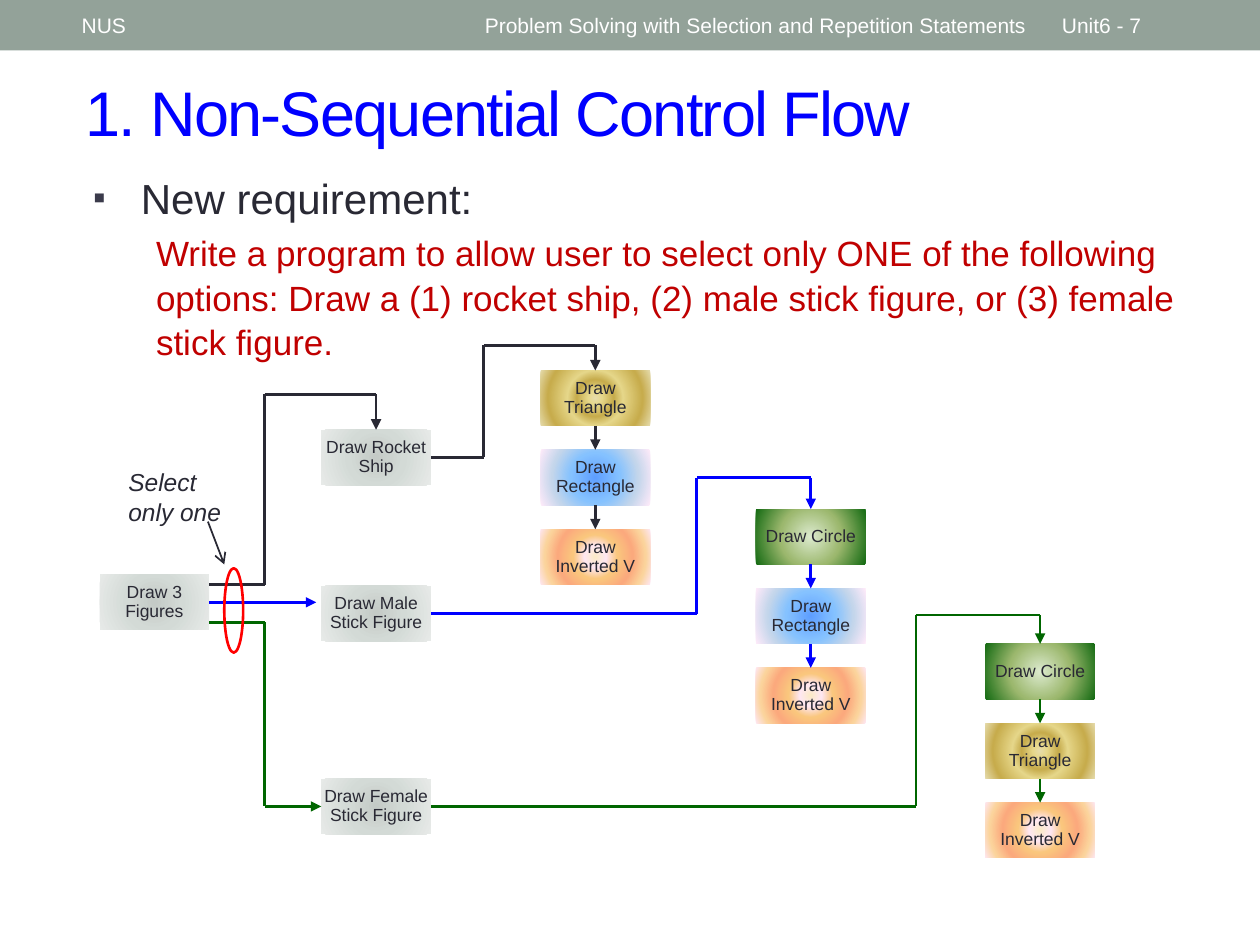
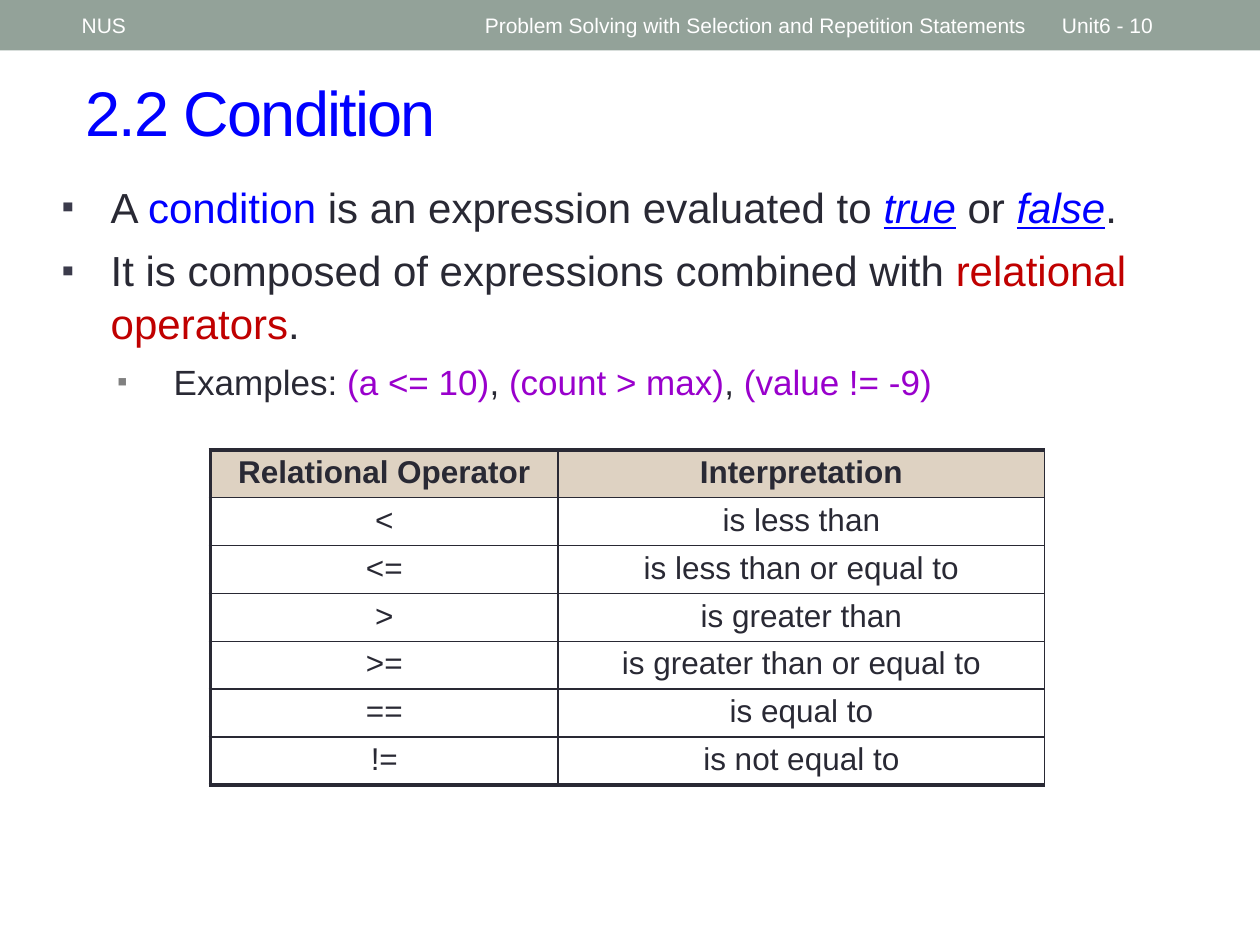
from lxml import etree
from pptx import Presentation
from pptx.dml.color import RGBColor
from pptx.enum.shapes import MSO_CONNECTOR, MSO_SHAPE
from pptx.enum.text import MSO_ANCHOR, MSO_AUTO_SIZE, PP_ALIGN
from pptx.oxml import parse_xml
from pptx.oxml.ns import qn
from pptx.util import Inches, Pt

RECTANGLE, ELLIPSE = MSO_SHAPE.RECTANGLE, MSO_SHAPE.OVAL
STRAIGHT = MSO_CONNECTOR.STRAIGHT
CENTER, MIDDLE = PP_ALIGN.CENTER, MSO_ANCHOR.MIDDLE
TOP, LEFT, BOTTOM, RIGHT = range(4)  # connection sites of a rectangle

FONT = "Arial"
TITLE_ONLY = 5
COLORS = {
    "band": "93A299", "white": "FFFFFF", "text": "292934", "blue": "0000FF",
    "red": "C00000", "green": "006600", "purple": "9900CC", "ring": "FF0000",
    "bullet": "3B3B4B", "sub_bullet": "808080", "header": "DED2C2",
}
# Radial gradients: position in percent and colour, from the centre outwards
GRADIENTS = {
    "grey": [(0, "C4CAC6"), (45, "D3DAD6"), (100, "E7EAE8")],
    "Draw Triangle": [(0, "E6DCAC"), (12, "E6D78A"), (30, "C7AC4C"),
                      (45, "E6D78A"), (77, "C7AC4C"), (100, "E6DCAC")],
    "Draw Rectangle": [(0, "5E9EFF"), (40, "85C2FF"), (70, "C4D6EB"), (100, "FFEBFA")],
    "Draw Inverted V": [(0, "FBEAC7"), (18, "FEE7F2"), (36, "FAC77D"),
                        (61, "FBA97D"), (82, "FBD49C"), (100, "FEE7F2")],
    "Draw Circle": [(0, "DDEBCF"), (50, "9CB86E"), (100, "156B13")],
}
BOX_WIDTH, BOX_HEIGHT, BOX_STEP = 0.87, 0.44, 0.63
A_NAMESPACE = "http://schemas.openxmlformats.org/drawingml/2006/main"


def color(name):
    return RGBColor.from_string(COLORS[name])


# --- Text ---
def write(paragraph, text, size=12, fill="text", bold=False, italic=False,
          underline=False, spacing=None):
    run = paragraph.add_run()
    run.text = text
    font = run.font
    font.name, font.size = FONT, Pt(size)
    font.bold, font.italic, font.underline = bold, italic, underline
    font.color.rgb = color(fill)
    if spacing is not None:
        run._r.get_or_add_rPr().set("spc", str(spacing * 100))


def add_text_box(slide, left, top, width, height, anchor=MSO_ANCHOR.TOP):
    box = slide.shapes.add_textbox(*map(Inches, (left, top, width, height)))
    box.text_frame.word_wrap = True
    box.text_frame.vertical_anchor = anchor
    return box.text_frame


def add_label(slide, text, left, top, width, height, anchor=MIDDLE, **style):
    frame = add_text_box(slide, left, top, width, height, anchor)
    write(frame.paragraphs[0], text, **style)


def add_body_paragraph(frame, runs, size, margin, hanging=0, bullet=None, before=6):
    """Write (text, format) runs as one paragraph, with a square bullet if asked."""
    first = not frame.paragraphs[0].runs
    paragraph = frame.paragraphs[0] if first else frame.add_paragraph()
    properties = paragraph._p.get_or_add_pPr()
    properties.set("marL", str(Inches(margin)))
    properties.set("indent", str(-Inches(hanging)))
    paragraph.line_spacing = 1.05
    paragraph.space_before = Pt(0 if first else before)
    if bullet:
        bullet_color = etree.SubElement(properties, qn("a:buClr"))
        etree.SubElement(bullet_color, qn("a:srgbClr"), val=COLORS[bullet])
        etree.SubElement(properties, qn("a:buSzPct"), val="85000")
        etree.SubElement(properties, qn("a:buFont"), typeface=FONT)
        etree.SubElement(properties, qn("a:buChar"), char="▪")
    for text, style in runs:
        write(paragraph, text, size=size, **style)


# --- Shapes and lines ---
def add_shape(slide, kind, left, top, width, height):
    shape = slide.shapes.add_shape(kind, *map(Inches, (left, top, width, height)))
    shape.shadow.inherit = False
    return shape


def add_box(slide, text, left, top, gradient):
    """Add a step of the flow, filled with a radial gradient."""
    shape = add_shape(slide, RECTANGLE, left, top, BOX_WIDTH, BOX_HEIGHT)
    stops = "".join(f'<a:gs pos="{position * 1000}"><a:srgbClr val="{value}"/></a:gs>'
                    for position, value in GRADIENTS[gradient])
    shape._element.spPr.insert(2, parse_xml(
        f'<a:gradFill xmlns:a="{A_NAMESPACE}" rotWithShape="1"><a:gsLst>{stops}</a:gsLst>'
        '<a:path path="circle"><a:fillToRect l="50000" t="50000" r="50000" b="50000"/>'
        '</a:path></a:gradFill>'))
    shape.line.fill.background()
    frame = shape.text_frame
    frame.word_wrap, frame.vertical_anchor = True, MIDDLE
    frame.margin_left = frame.margin_right = Inches(0.01)
    frame.margin_top = frame.margin_bottom = Inches(0.01)
    paragraph = frame.paragraphs[0]
    paragraph.alignment, paragraph.line_spacing = CENTER, 0.9
    write(paragraph, text, size=10)
    return shape


def add_line(slide, start, end, line_color, head=None, width=1.5):
    points = [Inches(value) for value in (*start, *end)]
    connector = slide.shapes.add_connector(STRAIGHT, *points)
    connector.line.color.rgb = color(line_color)
    connector.line.width = Pt(width)
    properties = connector._element.spPr
    if head:
        etree.SubElement(properties.get_or_add_ln(), qn("a:tailEnd"), type=head)
    etree.SubElement(properties, qn("a:effectLst"))
    return connector


def site(shape, index):
    """Give the middle of a rectangle's side in inches."""
    x_share, y_share = {TOP: (0.5, 0), LEFT: (0, 0.5),
                        BOTTOM: (0.5, 1), RIGHT: (1, 0.5)}[index]
    return ((shape.left + shape.width * x_share) / Inches(1),
            (shape.top + shape.height * y_share) / Inches(1))


def add_route(slide, line_color, target, target_site, corners, source=None):
    """Run straight lines from the source's right side, or the first corner, to a target."""
    points = [*corners, site(target, target_site)]
    if source:
        points.insert(0, site(source, RIGHT))
    for start, end in zip(points[:-2], points[1:-1]):
        connector = add_line(slide, start, end, line_color)
        if source and start == points[0]:
            connector.begin_connect(source, RIGHT)
    arrow = add_line(slide, points[-2], points[-1], line_color, "triangle")
    arrow.end_connect(target, target_site)


def add_column(slide, left, top, steps, line_color):
    """Stack steps with equal gaps, join them by arrows and return the first."""
    boxes = [add_box(slide, text, left, top + row * BOX_STEP, text)
             for row, text in enumerate(steps)]
    for upper, lower in zip(boxes, boxes[1:]):
        arrow = add_line(slide, site(upper, BOTTOM), site(lower, TOP), line_color, "triangle")
        arrow.begin_connect(upper, BOTTOM)
        arrow.end_connect(lower, TOP)
    return boxes[0]


# --- Table ---
def set_borders(cell, widths):
    """Set left, right, top and bottom borders, with widths in points."""
    properties = cell._tc.get_or_add_tcPr()
    for index, (side, width) in enumerate(zip("LRTB", widths)):
        properties.insert(index, parse_xml(
            f'<a:ln{side} xmlns:a="{A_NAMESPACE}" w="{Pt(width)}"><a:solidFill>'
            f'<a:srgbClr val="{COLORS["text"]}"/></a:solidFill></a:ln{side}>'))


def add_table(slide, rows, left, top, column_widths, row_height):
    frame = slide.shapes.add_table(
        len(rows), len(column_widths), Inches(left), Inches(top),
        Inches(sum(column_widths)), Inches(row_height * len(rows)))
    table = frame.table
    table.horz_banding = False
    for column, width in zip(table.columns, column_widths):
        column.width = Inches(width)
    thick, thin = 2.25, 1
    for row_index, row in enumerate(rows):
        header, last = row_index == 0, row_index == len(rows) - 1
        table.rows[row_index].height = Inches(row_height)
        for column_index, text in enumerate(row):
            cell = table.cell(row_index, column_index)
            if header:
                cell.fill.solid()
                cell.fill.fore_color.rgb = color("header")
            else:
                cell.fill.background()
            set_borders(cell, (thin if column_index else thick, thin,
                               thick if header else thin, thick if last else thin))
            cell.margin_top = cell.margin_bottom = Inches(0.04)
            paragraph = cell.text_frame.paragraphs[0]
            paragraph.alignment = CENTER
            write(paragraph, text, size=18, bold=header)


# --- Slides ---
def add_slide(presentation, title, number):
    slide = presentation.slides.add_slide(presentation.slide_layouts[TITLE_ONLY])
    band = add_shape(slide, RECTANGLE, 0, 0, 10, 0.4)
    band.fill.solid()
    band.fill.fore_color.rgb = color("band")
    band.line.fill.background()
    for text, left, width in (
            ("NUS", 0.55, 3.12),
            ("Problem Solving with Selection and Repetition Statements", 3.75, 4.5),
            (f"Unit6 - {number}", 8.33, 1.17)):
        add_label(slide, text, left, 0.02, width, 0.36, fill="white")
    heading = slide.shapes.title
    heading.left, heading.top = Inches(0.58), Inches(0.42)
    heading.width, heading.height = Inches(9.17), Inches(0.92)
    frame = heading.text_frame
    frame.auto_size, frame.vertical_anchor = MSO_AUTO_SIZE.NONE, MIDDLE
    frame.paragraphs[0].alignment = PP_ALIGN.LEFT
    write(frame.paragraphs[0], title, size=36, fill="blue", spacing=-1)
    return slide


def build_control_flow(presentation):
    slide = add_slide(presentation, "1. Non-Sequential Control Flow", 7)
    body = add_text_box(slide, 0.64, 1.3, 9.07, 1.55)
    add_body_paragraph(body, [("New requirement:", {})], 24, 0.38, 0.38, "bullet")
    add_body_paragraph(body, [(
        "Write a program to allow user to select only ONE of the following options: "
        "Draw a (1) rocket ship, (2) male stick figure, or (3) female stick figure.",
        {"fill": "red"})], 20, 0.5, before=4)

    # Steps
    figures = add_box(slide, "Draw 3 Figures", 0.79, 4.56, "grey")
    rocket, male, female = (
        add_box(slide, text, 2.55, top, "grey") for text, top in (
            ("Draw Rocket Ship", 3.41), ("Draw Male Stick Figure", 4.65),
            ("Draw Female Stick Figure", 6.18)))
    triangle, rectangle = "Draw Triangle", "Draw Rectangle"
    circle, inverted_v = "Draw Circle", "Draw Inverted V"
    rocket_parts = add_column(slide, 4.29, 2.94, (triangle, rectangle, inverted_v), "text")
    male_parts = add_column(slide, 6, 4.04, (circle, rectangle, inverted_v), "blue")
    female_parts = add_column(slide, 7.82, 5.11, (circle, triangle, inverted_v), "green")

    # Branches from the start to the three figures
    edge = site(figures, RIGHT)[0]
    rocket_x, female_y = site(rocket, TOP)[0], site(female, LEFT)[1]
    add_route(slide, "text", rocket, TOP,
              [(edge, 4.64), (2.1, 4.64), (2.1, 3.13), (rocket_x, 3.13)])
    add_route(slide, "green", female, LEFT, [(edge, 4.94), (2.1, 4.94), (2.1, female_y)])
    start = site(figures, RIGHT)
    branch = add_line(slide, start, (2.51, start[1]), "blue", "triangle")
    branch.begin_connect(figures, RIGHT)

    # Routes from each figure to its parts
    for figure, parts, line_color, turn_x, turn_y in (
            (rocket, rocket_parts, "text", 3.84, 2.74),
            (male, male_parts, "blue", 5.53, 3.79),
            (female, female_parts, "green", 7.27, 4.88)):
        corners = [(turn_x, site(figure, RIGHT)[1]), (turn_x, turn_y),
                   (site(parts, TOP)[0], turn_y)]
        add_route(slide, line_color, parts, TOP, corners, source=figure)

    # Selection mark
    ring = add_shape(slide, ELLIPSE, 1.78, 4.51, 0.15, 0.67)
    ring.fill.background()
    ring.line.color.rgb = color("ring")
    ring.line.width = Pt(1.5)
    add_label(slide, "Select only one", 0.92, 3.66, 1.08, 0.57,
              anchor=MSO_ANCHOR.TOP, size=14, italic=True)
    add_line(slide, (1.65, 4.14), (1.78, 4.48), "text", "arrow", width=1)


def build_condition(presentation):
    slide = add_slide(presentation, "2.2 Condition", 10)
    body = add_text_box(slide, 0.39, 1.37, 9.18, 2)
    truth = {"fill": "blue", "italic": True, "underline": True}
    code = {"fill": "purple"}
    add_body_paragraph(body, [
        ("A ", {}), ("condition", {"fill": "blue"}),
        (" is an expression evaluated to ", {}), ("true", truth), (" or ", {}),
        ("false", truth), (".", {})], 24, 0.39, 0.39, "bullet")
    add_body_paragraph(body, [
        ("It is composed of expressions combined with ", {}),
        ("relational operators", {"fill": "red"}), (".", {})], 24, 0.39, 0.39, "bullet")
    add_body_paragraph(body, [
        ("Examples: ", {}), ("(a <= 10)", code), (", ", {}), ("(count > max)", code),
        (", ", {}), ("(value != -9)", code)], 20, 0.89, 0.45, "sub_bullet")
    add_table(slide, [
        ("Relational Operator", "Interpretation"),
        ("<", "is less than"), ("<=", "is less than or equal to"),
        (">", "is greater than"), (">=", "is greater than or equal to"),
        ("==", "is equal to"), ("!=", "is not equal to"),
    ], 1.67, 3.57, (2.76, 3.86), 0.38)


def main():
    presentation = Presentation()
    presentation.slide_width, presentation.slide_height = Inches(10), Inches(7.5)
    build_control_flow(presentation)
    build_condition(presentation)
    presentation.save("out.pptx")


if __name__ == "__main__":
    main()
